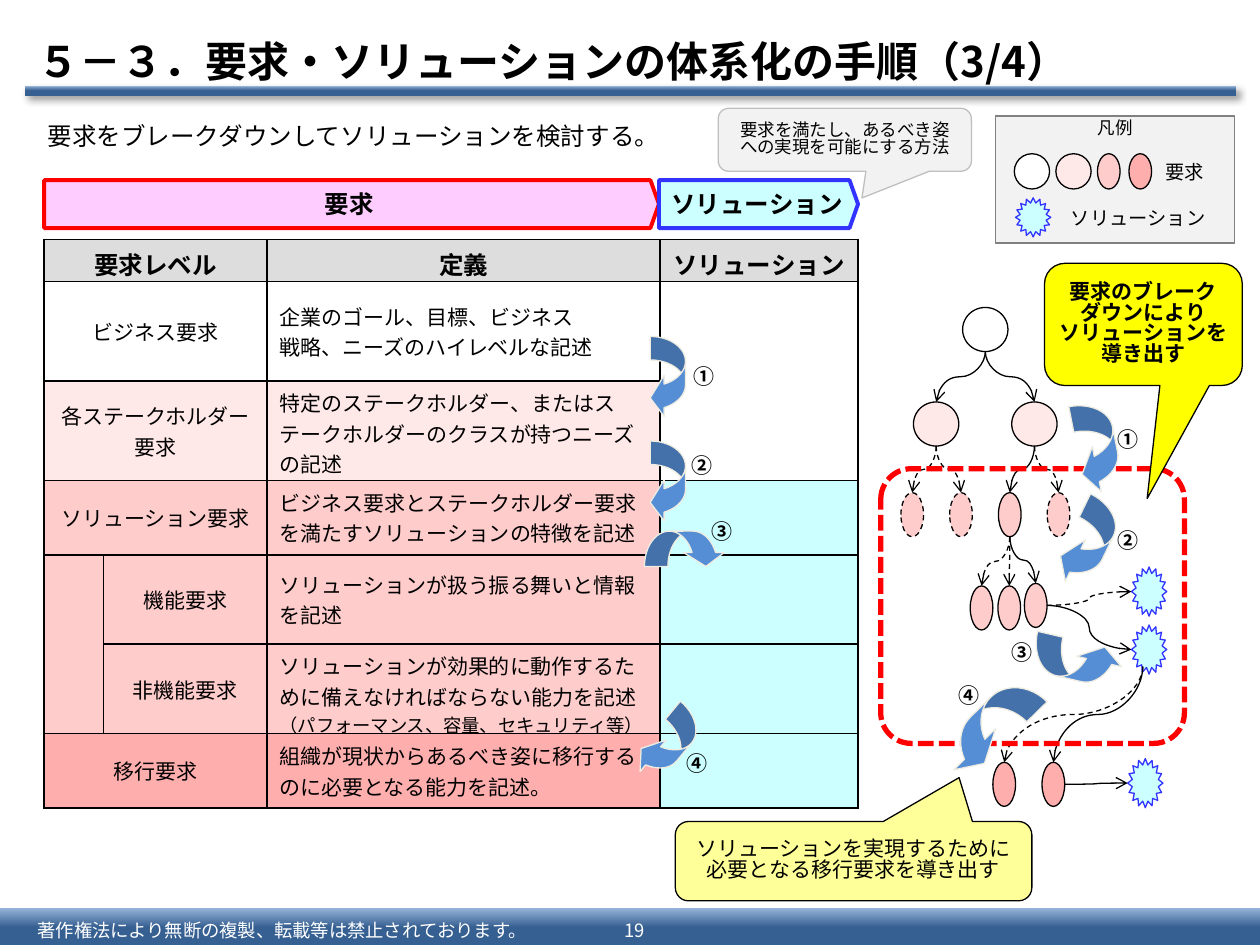
import pptx
import pptx.util
import pptx.dml.color
import pptx.enum.dml
import pptx.enum.shapes
import pptx.enum.text
import pptx.oxml.ns
from dataclasses import dataclass
from lxml import etree
from typing import NamedTuple

Pt = pptx.util.Pt
SHAPE = pptx.enum.shapes.MSO_SHAPE
LINK = pptx.enum.shapes.MSO_CONNECTOR
DASH = pptx.enum.dml.MSO_LINE
ALIGN = pptx.enum.text.PP_ALIGN
ANCHOR = pptx.enum.text.MSO_ANCHOR
qn = pptx.oxml.ns.qn

FONT = "Noto Sans CJK JP"
HUES = dict(black="000000", white="FFFFFF", navy="376092", sky="95B3D7", head="DDDDDD",
            pale="FFE8E8", rose="FFCCCC", coral="FFAEAE", aqua="CCFFFF", blue="3333FF",
            red="FF0000", pink="FFCCFF", yellow="FFFF00", cream="FFFF99", fog="F2F2F2",
            silver="BFBFBF", gray="808080", swoop="558ED5", bone="EEECE1")
COLS, ROWS = 100, 75  # the slide as a grid of square cells

deck = pptx.Presentation()
deck.slide_width, deck.slide_height = pptx.util.Inches(10), pptx.util.Inches(7.5)
CELL = deck.slide_width // COLS
slide = deck.slides.add_slide(deck.slide_layouts[6])
shapes = slide.shapes


class Spot(NamedTuple):
    x: float
    y: float


class Box(NamedTuple):
    x: float
    y: float
    w: float
    h: float

    def at(self, across: float, down: float) -> Spot:
        """Point at the given shares of width and height."""
        return Spot(self.x + self.w * across, self.y + self.h * down)


@dataclass
class Look:
    fill: str | None = None
    line: str | None = "black"
    width: float = 0.75
    dash: object = None


@dataclass
class Words:
    lines: list[str]
    size: float
    bold: bool = False
    hue: str = "black"
    align: object = ALIGN.CENTER
    space: float | None = None
    inset: tuple[float, float] = (1, 0.5)
    wrap: bool = True
    anchor: object = ANCHOR.MIDDLE


def grid(*cells: float) -> list[int]:
    return [round(n * CELL) for n in cells]


def rgb(hue: str) -> pptx.dml.color.RGBColor:
    return pptx.dml.color.RGBColor.from_string(HUES[hue])


def add_run(para, text: str, size: float, bold: bool, hue: str) -> None:
    run = para.add_run()
    run.text = text
    font = run.font
    font.size, font.bold, font.name = Pt(size), bold, FONT
    font.color.rgb = rgb(hue)
    etree.SubElement(font._element, qn("a:ea"), typeface=FONT)


def write(frame, words: Words) -> None:
    for n, text in enumerate(words.lines):
        para = frame.add_paragraph() if n else frame.paragraphs[0]
        para.alignment = words.align
        if words.space:
            para.line_spacing = words.space
        add_run(para, text, words.size, words.bold, words.hue)


def fit(frame, words: Words) -> None:
    side, rim = grid(*words.inset)
    frame.margin_left = frame.margin_right = side
    frame.margin_top = frame.margin_bottom = rim
    frame.word_wrap, frame.vertical_anchor = words.wrap, words.anchor
    write(frame, words)


def label(box: Box, words: Words) -> None:
    fit(shapes.add_textbox(*grid(*box)).text_frame, words)


def trace(line, look: Look) -> None:
    line.color.rgb, line.width = rgb(look.line), Pt(look.width)
    if look.dash:
        line.dash_style = look.dash


def draw(kind, box: Box, look: Look, words: Words | None = None, adj: tuple = ()):
    shape = shapes.add_shape(kind, *grid(*box))
    shape.shadow.inherit = False
    for n, share in enumerate(adj):
        shape.adjustments[n] = share
    if look.fill:
        shape.fill.solid()
        shape.fill.fore_color.rgb = rgb(look.fill)
    else:
        shape.fill.background()
    if look.line:
        trace(shape.line, look)
    else:
        shape.line.fill.background()
    if words:
        fit(shape.text_frame, words)
    return shape


def band(box: Box):
    """Bar that fades from navy up to sky."""
    bar = draw(SHAPE.RECTANGLE, box, Look(None, None))
    bar.fill.gradient()
    bar.fill.gradient_angle = 90
    for stop, place, hue in zip(bar.fill.gradient_stops, (0.5, 1), ("navy", "sky")):
        stop.position, stop.color.rgb = place, rgb(hue)
    return bar


def link(a: Spot, b: Spot, dash: bool = False, down: bool = True) -> None:
    """Curved arrow that leaves its start downwards, or else sideways."""
    ends = (*a, *b)
    if down:
        mid, half = Spot((a.x + b.x) / 2, (a.y + b.y) / 2), Spot((b.y - a.y) / 2, abs(b.x - a.x) / 2)
        turn = 1 if b.x <= a.x else -1
        ends = (mid.x - turn * half.x, mid.y - half.y, mid.x + turn * half.x, mid.y + half.y)
    wire = shapes.add_connector(LINK.CURVE, *grid(*ends))
    props = wire._element.spPr
    if down:
        props.find(qn("a:xfrm")).set("rot", "5400000" if turn == 1 else "16200000")
    trace(wire.line, Look(dash=DASH.DASH if dash else None))
    etree.SubElement(props.find(qn("a:ln")), qn("a:tailEnd"), type="arrow")
    etree.SubElement(props, qn("a:effectLst"))


def swoop(box: Box, turn: float, flip: str = "V") -> None:
    arrow = draw(SHAPE.CURVED_RIGHT_ARROW, box, Look("swoop", "bone"), adj=(0.665, 1.628, 0.394))
    arrow.rotation = turn
    for axis in flip:
        arrow._element.spPr.find(qn("a:xfrm")).set("flip" + axis, "1")


def oval(box: Box, fill: str, dash: bool = False) -> Box:
    draw(SHAPE.OVAL, box, Look(fill, dash=DASH.DASH if dash else None))
    return box


def star(box: Box) -> Box:
    draw(SHAPE.STAR_16_POINT, box, Look("aqua", "blue"))
    return box


# Frame of the page
band(Box(0, 72.1, COLS, ROWS - 72))
rule = band(Box(2, 6.8, 96.1, 0.8))
glow = etree.SubElement(rule._element.spPr.find(qn("a:effectLst")), qn("a:outerShdw"),
                        blurRad=str(Pt(4)), dist=str(Pt(3)), dir="2700000", algn="tl", rotWithShape="0")
tint = etree.SubElement(glow, qn("a:srgbClr"), val=HUES["black"])
etree.SubElement(tint, qn("a:alpha"), val="40000")
label(Box(2, 72.5, 42.5, 2.6), Words(["著作権法により無断の複製、転載等は禁止されております。"], 10.5,
                                     hue="white", align=ALIGN.LEFT, inset=(1, 0.4)))
label(Box(47.6, 72.5, 5.5, 2.6), Words(["19"], 10.5, hue="white", inset=(1, 0.4)))
label(Box(2, 2.1, 98, 5.4), Words(["５－３．要求・ソリューションの体系化の手順（3/4）"], 24, True, align=ALIGN.LEFT))
label(Box(2.8, 9.1, 54, 3.4), Words(["要求をブレークダウンしてソリューションを検討する。"], 14,
                                    align=ALIGN.LEFT, anchor=ANCHOR.TOP))

# Table of requirement levels: fill, label column, label, definition, solution fill
LEVELS = [
    ("head", 0, ["要求レベル"], ["定義"], "head"),
    ("white", 0, ["ビジネス要求"], ["企業のゴール、目標、ビジネス", "戦略、ニーズのハイレベルな記述"], "white"),
    ("pale", 0, ["各ステークホルダー", "要求"],
     ["特定のステークホルダー、またはステークホルダーのクラスが持つニーズの記述"], "white"),
    ("rose", 0, ["ソリューション要求"], ["ビジネス要求とステークホルダー要求を満たすソリューションの特徴を記述"], "aqua"),
    ("rose", 1, ["機能要求"], ["ソリューションが扱う振る舞いと情報を記述"], "aqua"),
    ("rose", 1, ["非機能要求"], ["ソリューションが効果的に動作するために備えなければならない能力を記述"], "aqua"),
    ("coral", 0, ["移行要求"], ["組織が現状からあるべき姿に移行するのに必要となる能力を記述。"], "aqua"),
]
MERGES = [(r, 0, r, 1) for r in (0, 1, 2, 3, 6)] + [(1, 3, 2, 3), (4, 0, 5, 0)]
OPEN = {(3, 0, "B"), (4, 0, "T")}
SIDES = {"L": (0, -1), "R": (0, 1), "T": (-1, 0), "B": (1, 0)}

table = shapes.add_table(7, 4, *grid(3.5, 19, 64.6, 45.1)).table
table._tbl.tblPr.find(qn("a:tableStyleId")).text = "{2D5ABB26-0587-4C30-8999-92F81FD0307C}"
table.first_row = table.horz_banding = False
for col, wide in zip(table.columns, grid(4.7, 13, 31.2, 15.7)):
    col.width = wide
for row, high in zip(table.rows, grid(3.3, 7.9, 7.9, 5.9, 7.1, 7.1, 5.9)):
    row.height = high
owner = {}
for top, left, low, right in MERGES:
    table.cell(top, left).merge(table.cell(low, right))
    owner |= {(r, c): (top, left) for r in range(top, low + 1) for c in range(left, right + 1)}
for r, (fill, spot, name, sense, last) in enumerate(LEVELS):
    size, bold = (14, True) if r == 0 else (12, False)
    texts = {spot: name, 2: sense} | ({3: ["ソリューション"]} if r == 0 else {})
    for c in range(4):
        cell = table.cell(r, c)
        cell.vertical_anchor = ANCHOR.MIDDLE if r else ANCHOR.TOP
        cell.fill.solid()
        cell.fill.fore_color.rgb = rgb(last if c == 3 else fill)
        if c in texts:
            write(cell.text_frame, Words(texts[c], size, bold, align=ALIGN.LEFT if r and c == 2 else ALIGN.CENTER))
        edges = []
        for side, (dr, dc) in SIDES.items():
            near = (r + dr, c + dc)
            if owner.get((r, c), (r, c)) != owner.get(near, near) and (r, c, side) not in OPEN:
                edge = etree.Element(qn("a:ln" + side), w=str(Pt(1)))
                ink = etree.SubElement(edge, qn("a:solidFill"))
                etree.SubElement(ink, qn("a:srgbClr"), val=HUES["black"])
                edges.append(edge)
        cell._tc.get_or_add_tcPr()[0:0] = edges
add_run(table.cell(5, 2).text_frame.paragraphs[0], "（パフォーマンス、容量、セキュリティ等）", 10.5, False, "black")

# Tree of requirements
vision = oval(Box(76.4, 24.4, 3.6, 3.5), "white")
holders = [oval(Box(x, 31.9, 3.6, 3.5), "pale") for x in (72.5, 80.3)]
needs = [oval(Box(71.5 + 3.87 * n, 39.1, 1.8, 3.5), "rose", n != 2) for n in range(4)]
parts = [oval(Box(x, y, 1.8, 3.5), "rose") for x, y in ((77, 46.5), (79.2, 46.5), (81.3, 46.3))]
moves = [oval(Box(x, 60.5, 1.8, 3.5), "coral") for x in (78.8, 82.7)]
stars = [star(Box(x, y, 2.8, 3.9)) for x, y in ((89.8, 45), (89.8, 49.6), (89.5, 60.2))]
pairs = [(vision, h, False) for h in holders]
pairs += [(holders[n // 2], need, n != 2) for n, need in enumerate(needs)]
pairs += [(needs[2], part, n != 2) for n, part in enumerate(parts)]
for above, below, dash in pairs:
    link(above.at(0.5, 1), below.at(0.5, 0), dash)
for move, dash in zip(moves, (True, False)):
    link(stars[1].at(0.32, 0.85), move.at(0.5, 0), dash)
for start, end, dash in ((parts[2], stars[0], True), (parts[2], stars[1], False), (moves[1], stars[2], False)):
    link(start.at(1, 0.5), end.at(0, 0.5), dash, down=False)
draw(SHAPE.ROUNDED_RECTANGLE, Box(69.9, 37.2, 24.1, 21.8), Look(None, "red", 3, DASH.SQUARE_DOT), adj=(0.111,))

# Headings and callouts
draw(SHAPE.PENTAGON, Box(3.5, 14.3, 48.8, 3.8), Look("pink", "red", 2.25),
     Words(["要求"], 14, True, wrap=False), (0.178,))
draw(SHAPE.PENTAGON, Box(52.3, 14.3, 15.8, 3.8), Look("aqua", "blue", 2.25),
     Words(["ソリューション"], 14, True, align=ALIGN.LEFT, wrap=False), (0.178,))
CALLS = [
    (Box(82.9, 20.9, 15.7, 9.7), Look("yellow"), (0.019, 1.425, 0.167), 12, True,
     ["要求のブレーク", "ダウンにより", "ソリューションを", "導き出す"]),
    (Box(53.6, 65.2, 28.3, 6.3), Look("cream"), (0.296, -1.053, 0.167), 12, False,
     ["ソリューションを実現するために", "必要となる移行要求を導き出す"]),
    (Box(57, 8.6, 20.1, 5), Look("fog", "silver"), (0.068, 0.923, 0.167), 10, False,
     ["要求を満たし、あるべき姿", "への実現を可能にする方法"]),
]
for box, look, adj, size, bold, lines in CALLS:
    draw(SHAPE.ROUNDED_RECTANGULAR_CALLOUT, box, look,
         Words(lines, size, bold, space=0.82, inset=(0.4, 0)), adj)

# Legend
draw(SHAPE.RECTANGLE, Box(79, 9.2, 19, 10.1), Look("fog", "gray"),
     Words(["凡例"], 10, inset=(0.4, 0.1), wrap=False, anchor=ANCHOR.TOP))
for x, wide, fill in ((80.5, 2.8, "white"), (83.8, 2.8, "pale"), (87.1, 1.8, "rose"), (89.6, 1.8, "coral")):
    oval(Box(x, 12.2, wide, 2.8), fill)
star(Box(80.6, 15.7, 2.8, 3.1))
for box, text in ((Box(91.5, 12.2, 5.1, 2.9), "要求"), (Box(84, 15.9, 12.8, 2.9), "ソリューション")):
    label(box, Words([text], 11, align=ALIGN.LEFT, wrap=False, anchor=ANCHOR.TOP))

# Steps 1 to 4, beside the table and in the tree
for box, turn, flip in [
    (Box(85.5, 31.9, 3.1, 7.3), 168.8, "V"), (Box(84.8, 39.5, 3.1, 7.3), 205.8, "V"),
    (Box(84, 48.8, 3.1, 7.3), 103.2, "HV"), (Box(76.9, 53.1, 3.4, 9.3), 225.5, "HV"),
    (Box(51.6, 26.7, 2.8, 6.5), 180, "V"), (Box(51.6, 35, 2.8, 6.5), 180, "V"),
    (Box(53, 40.3, 2.8, 6.5), 90, "V"), (Box(51.6, 55.8, 2.8, 6.5), 219.7, "V"),
]:
    swoop(box, turn, flip)
for mark, *spots in (("①", (87.7, 33.4), (54.1, 28.4)), ("②", (87.7, 41.4), (53.9, 35.4)),
                     ("③", (79.3, 50.3), (55.5, 40.7)), ("④", (75.1, 53.7), (53.5, 59.1))):
    for x, y in spots:
        label(Box(x, y, 3.7, 3), Words([mark], 12, True, align=ALIGN.LEFT, anchor=ANCHOR.TOP))

deck.save("out.pptx")
